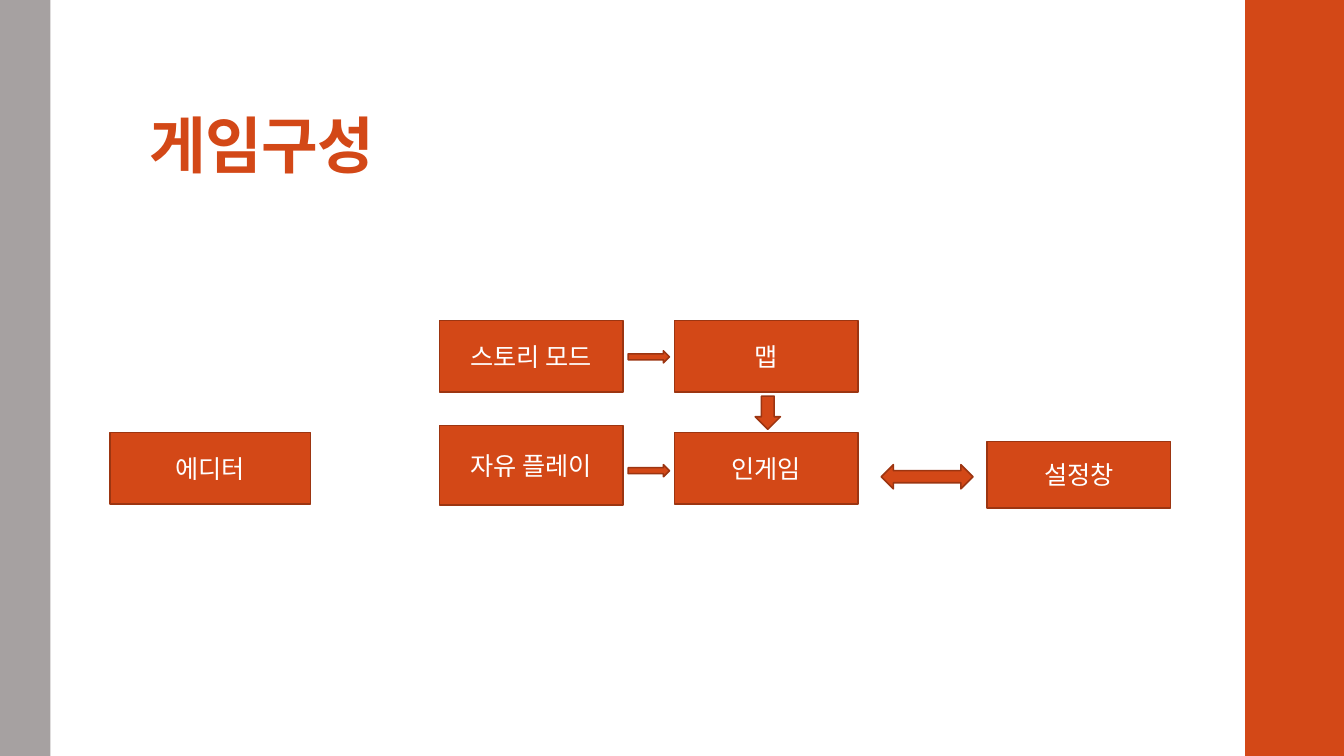
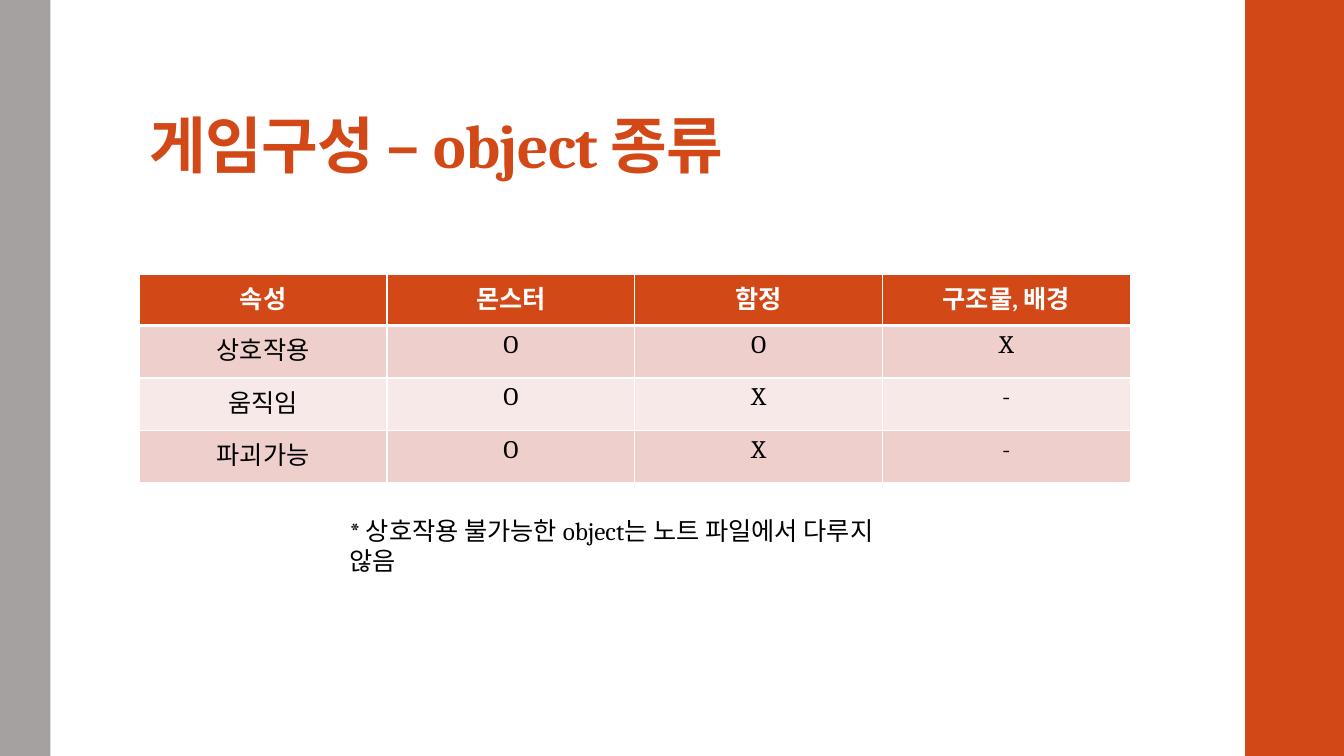
from dataclasses import dataclass

from lxml.etree import SubElement
from pptx import Presentation
from pptx.dml.color import RGBColor
from pptx.enum.shapes import MSO_SHAPE as Preset
from pptx.enum.text import MSO_ANCHOR as Anchor, MSO_AUTO_SIZE as AutoSize, PP_ALIGN as Align
from pptx.oxml.ns import qn
from pptx.util import Inches, Pt


@dataclass(frozen=True)
class Theme:
    font: str = "Cambria"
    accent: str = "D34817"
    outline: str = "9C3511"
    grey: str = "A6A1A1"
    white: str = "FFFFFF"
    black: str = "000000"
    odd_row: str = "EFCFCC"
    even_row: str = "F7E9E8"
    title_size: int = 44
    body_size: int = 18
    outline_width: float = 1.1


THEME = Theme()
SLIDE_SIZE = (13.33, 7.5)
BANDS = [((12.35, 0, 0.98, 7.5), THEME.accent), ((0, 0, 0.5, 7.5), THEME.grey)]
TITLE_BOX = (1.38, 0.32, 10.6, 1.53)

FLOW_TITLE = "게임구성"
MODE_X, GAME_X, STEP_W, STEP_H = 4.36, 6.69, 1.82, 0.71
TOP_Y, LOWER_Y = 3.18, 4.29
STEPS = [
    ("에디터", (1.09, LOWER_Y, 1.99, STEP_H)),
    ("스토리 모드", (MODE_X, TOP_Y, STEP_W, STEP_H)),
    ("자유 플레이", (MODE_X, 4.22, STEP_W, 0.79)),
    ("설정창", (9.79, 4.38, STEP_W, 0.66)),
    ("맵", (GAME_X, TOP_Y, STEP_W, STEP_H)),
    ("인게임", (GAME_X, LOWER_Y, STEP_W, STEP_H)),
]
ARROWS = [
    (Preset.RIGHT_ARROW, (6.23, 3.48, 0.41, 0.12)),
    (Preset.LEFT_RIGHT_ARROW, (8.74, 4.61, 0.91, 0.24)),
    (Preset.RIGHT_ARROW, (6.23, 4.61, 0.41, 0.12)),
    (Preset.DOWN_ARROW, (7.49, 3.93, 0.25, 0.33)),
]

OBJECT_TITLE = "게임구성 – object 종류"
OBJECT_ROWS = [
    ("속성", "몬스터", "함정", "구조물, 배경"),
    ("상호작용", "O", "O", "X"),
    ("움직임", "O", "X", "-"),
    ("파괴가능", "O", "X", "-"),
]
OBJECT_BOX = (1.38, 2.72, 9.83, 2.05)
HEADER_H, ROW_H = 0.51, 0.52
NOTE = "* 상호작용 불가능한 object는 노트 파일에서 다루지 않음"
NOTE_BOX = (3.37, 5.06, 5.86, 0.4)


def inches(box):
    return [Inches(length) for length in box]


def write(frame, text, color, size=THEME.body_size, bold=False, align=Align.LEFT):
    paragraph = frame.paragraphs[0]
    paragraph.alignment = align
    run = paragraph.add_run()
    run.text = text
    run.font.name = THEME.font
    run.font.size = Pt(size)
    run.font.bold = bold
    run.font.color.rgb = RGBColor.from_string(color)
    return paragraph, run


def add_block(slide, preset, box, fill, outline=None):
    block = slide.shapes.add_shape(preset, *inches(box))
    block.shadow.inherit = False
    block.fill.solid()
    block.fill.fore_color.rgb = RGBColor.from_string(fill)
    if outline:
        block.line.color.rgb = RGBColor.from_string(outline)
        block.line.width = Pt(THEME.outline_width)
    else:
        block.line.fill.background()
    return block


def add_titled_slide(deck, text):
    slide = deck.slides.add_slide(deck.slide_layouts[5])
    for box, color in BANDS:
        add_block(slide, Preset.RECTANGLE, box, color)
    title = slide.shapes.title
    title.left, title.top, title.width, title.height = inches(TITLE_BOX)
    frame = title.text_frame
    frame.auto_size = AutoSize.NONE
    frame.word_wrap = True
    frame.vertical_anchor = Anchor.BOTTOM
    frame.margin_left = frame.margin_right = Inches(0.1)
    frame.margin_top, frame.margin_bottom = Inches(0.03), Inches(0.05)
    paragraph, run = write(frame, text, THEME.accent, THEME.title_size, bold=True)
    paragraph.line_spacing = 0.9
    run.font._element.set("spc", "-50")
    return slide


def set_borders(cell, widths):
    """Draw white borders; widths maps a side (L, R, T, B) to points."""
    properties = cell._tc.get_or_add_tcPr()
    for side, width in widths.items():
        line = SubElement(properties, qn(f"a:ln{side}"), w=str(Pt(width)))
        SubElement(SubElement(line, qn("a:solidFill")), qn("a:srgbClr"), val=THEME.white)


def add_object_table(slide):
    table = slide.shapes.add_table(
        len(OBJECT_ROWS), len(OBJECT_ROWS[0]), *inches(OBJECT_BOX)).table
    for column in table.columns:
        column.width = Inches(OBJECT_BOX[2] / len(OBJECT_ROWS[0]))
    for r, labels in enumerate(OBJECT_ROWS):
        header = r == 0
        table.rows[r].height = Inches(HEADER_H if header else ROW_H)
        band = THEME.accent if header else THEME.odd_row if r % 2 else THEME.even_row
        for c, label in enumerate(labels):
            cell = table.cell(r, c)
            set_borders(cell, {"L": 1, "R": 1, "T": 3 if r == 1 else 1, "B": 3 if header else 1})
            cell.fill.solid()
            cell.fill.fore_color.rgb = RGBColor.from_string(band)
            write(cell.text_frame, label, THEME.white if header else THEME.black,
                  bold=header, align=Align.CENTER)


def build_flow(deck):
    slide = add_titled_slide(deck, FLOW_TITLE)
    for label, box in STEPS:
        step = add_block(slide, Preset.RECTANGLE, box, THEME.accent, THEME.outline)
        step.text_frame.vertical_anchor = Anchor.MIDDLE
        write(step.text_frame, label, THEME.white, align=Align.CENTER)
    for preset, box in ARROWS:
        add_block(slide, preset, box, THEME.accent, THEME.outline)


def build_objects(deck):
    slide = add_titled_slide(deck, OBJECT_TITLE)
    add_object_table(slide)
    note = slide.shapes.add_textbox(*inches(NOTE_BOX)).text_frame
    note.word_wrap = True
    write(note, NOTE, THEME.black)


def main():
    deck = Presentation()
    deck.slide_width, deck.slide_height = inches(SLIDE_SIZE)
    build_flow(deck)
    build_objects(deck)
    deck.save("out.pptx")


if __name__ == "__main__":
    main()
